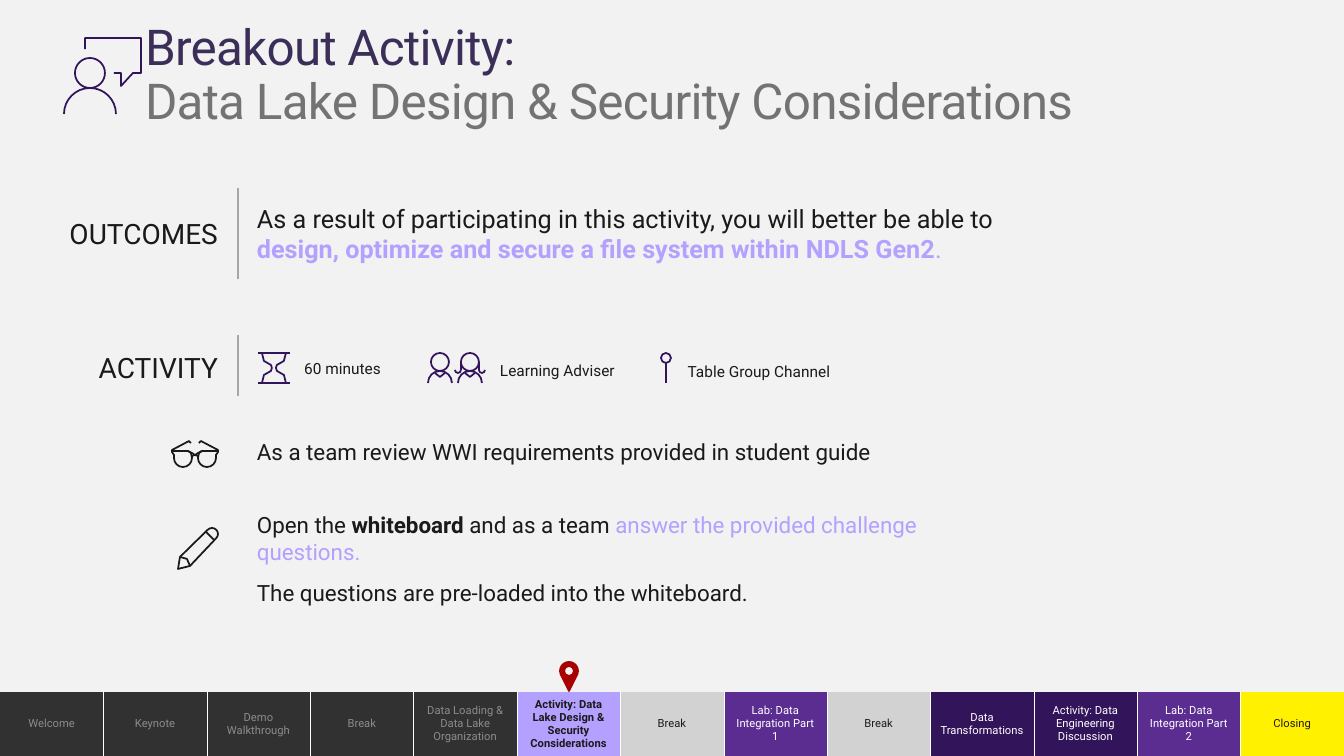
"""Builds the breakout activity slide with its icons and agenda strip."""
from dataclasses import dataclass
from math import cos, radians, sin, tan
from typing import NamedTuple, Optional

from lxml import etree
from pptx import Presentation
from pptx import util as u
from pptx.dml.color import RGBColor
from pptx.enum import shapes, text
from pptx.oxml.ns import qn

FONT = "Roboto"
INK, PLUM, VIOLET, LILAC = "1A1A1A", "32145A", "5C2D91", "B4A0FF"
DARK, GREY, SILVER, WHITE, RED = "313131", "8C8C8C", "D2D2D2", "FFFFFF", "A80000"
LEFT, CENTER, RIGHT = text.PP_ALIGN.LEFT, text.PP_ALIGN.CENTER, text.PP_ALIGN.RIGHT
SLIDE_W, SLIDE_H, AGENDA_TOP = 1344, 756, 692

class Node(NamedTuple):
    x: float
    y: float
    curved: bool = False

class Stroke(NamedTuple):
    nodes: list[Node]
    closed: bool = False

class Span(NamedTuple):
    text: str
    color: Optional[str] = None
    bold: bool = False

class Stage(NamedTuple):
    name: str
    fill: str
    color: str
    bold: bool = False

@dataclass
class Icon:
    strokes: list[Stroke]
    color: str = PLUM
    fill: Optional[str] = None

@dataclass
class Label:
    box: tuple[int, int, int, int]
    size: int
    paragraphs: list[list[Span]]
    align: text.PP_ALIGN = LEFT
    inset: bool = False

def px(v: float) -> int:
    return round(v * u.Inches(1) / 100.8)

def rgb(color: str) -> RGBColor:
    return RGBColor.from_string(color)

def lines(*points: tuple[int, int]) -> list[Node]:
    return [Node(x, y) for x, y in points]

def arc(cx: int, cy: int, r: int, start: int = 0, end: int = 360) -> list[Node]:
    count = -(-(end - start) // 90)
    step = radians(end - start) / count
    k = 4 / 3 * tan(step / 4)
    nodes = [Node(cx + r * cos(radians(start)), cy + r * sin(radians(start)))]
    for i in range(count):
        a = radians(start) + i * step
        b = a + step
        nodes += [Node(cx + r * (cos(t) + d * sin(t)), cy + r * (sin(t) - d * cos(t)), True)
                  for t, d in ((a, -k), (b, k), (b, 0))]
    return nodes

def both_sides(axis: int, *halves: list[Node]) -> list[Stroke]:
    flipped = [[n._replace(x=2 * axis - n.x) for n in half] for half in halves]
    return [Stroke(half) for half in (*halves, *flipped)]

def person(cx: int) -> list[Stroke]:
    return [Stroke(arc(cx, 362, 9), True), Stroke(arc(cx, 383, 12, 180, 360)),
            Stroke(lines((cx - 5, 373), (cx, 377), (cx + 5, 373)))]

ICONS = {
    "speaker": Icon([Stroke(lines((85, 49), (85, 38), (141, 38), (141, 73), (133, 73),
                                  (121, 86), (121, 73), (114, 73))),
                     Stroke(arc(90, 73, 15), True), Stroke(arc(90, 114, 26, 180, 360))]),
    "advisers": Icon(person(440) + person(470) + both_sides(
        470, lines((479, 362), (479, 370)), arc(482, 370, 3, 0, 180))),
    "hourglass": Icon([Stroke(lines((258, y), (290, y))) for y in (353, 383)] + both_sides(
        274, lines((286, 353), (284, 361), (277, 365), (276, 368),
                   (277, 371), (284, 375), (286, 383)))),
    "channel": Icon([Stroke(arc(666, 358, 5), True), Stroke(lines((666, 363), (666, 383)))]),
    "glasses": Icon(both_sides(
        195, lines((199, 443), (201, 441), (218, 450), (218, 452), (216, 455))
        + arc(207, 458, 9, 0, 180) + lines((198, 456), (195, 455)),
        lines((217, 451), (202, 451), (199, 453), (198, 458)),
        lines((195, 455), (198, 453), (202, 451))), INK),
    "pencil": Icon([Stroke(lines((190, 566), (178, 569), (180, 557))
                           + arc(212, 534, 6, 225, 405), True),
                    Stroke(lines((206, 532), (214, 540))),
                    Stroke(lines((190, 566), (187, 559), (180, 557)))], INK),
    "marker": Icon([Stroke(lines((569, 691)) + arc(569, 671, 9, 160, 380), True),
                    Stroke(arc(569, 671, 5), True)], RED, RED),
}
LABELS = [
    Label((68, 216, 150, 34), 20, [[Span("OUTCOMES")]], RIGHT),
    Label((73, 350, 145, 34), 20, [[Span("ACTIVITY")]], RIGHT),
    Label((290, 359, 105, 19), 11, [[Span("60 minutes")]], CENTER),
    Label((500, 361, 123, 19), 11, [[Span("Learning Adviser")]]),
    Label((674, 362, 170, 19), 11, [[Span("Table Group Channel")]], CENTER),
    Label((247, 198, 762, 72), 18, [[
        Span("As a result of participating in this activity, you will better be able to "),
        Span("design, optimize and secure a file system within NDLS Gen2", LILAC, True),
        Span(".", LILAC)]], inset=True),
    Label((247, 433, 762, 37), 16, [[
        Span("As a team review WWI requirements provided in student guide")]], inset=True),
    Label((247, 506, 762, 105), 16, [
        [Span("Open the "), Span("whiteboard", bold=True), Span(" and as a team "),
         Span("answer the provided challenge questions.", LILAC)],
        [Span("The questions are pre-loaded into the whiteboard.")]], inset=True),
]
AGENDA = [
    *(Stage(name, DARK, GREY) for name in (
        "Welcome", "Keynote", "Demo Walkthrough", "Break", "Data Loading & Data Lake Organization")),
    Stage("Activity: Data Lake Design & Security Considerations", LILAC, INK, True),
    Stage("Break", SILVER, INK), Stage("Lab: Data Integration Part 1", VIOLET, WHITE),
    Stage("Break", SILVER, INK), Stage("Data Transformations", PLUM, WHITE),
    Stage("Activity: Data Engineering Discussion", PLUM, WHITE),
    Stage("Lab: Data Integration Part 2", VIOLET, WHITE), Stage("Closing", "FFF100", INK),
]

def set_font(p, size: float, color: str, align: text.PP_ALIGN, bold: bool = False) -> None:
    p.alignment = align
    p.font.name, p.font.size, p.font.bold = FONT, u.Pt(size), bold
    p.font.color.rgb = rgb(color)

def clear_margins(tf) -> None:
    tf.margin_left = tf.margin_top = tf.margin_right = tf.margin_bottom = 0

def add_title(s) -> None:
    sp = s.shapes.title
    sp.left, sp.top, sp.width, sp.height = map(px, (145, 22, 1189, 108))
    tf = sp.text_frame
    clear_margins(tf)
    tf.auto_size, tf.vertical_anchor = text.MSO_AUTO_SIZE.NONE, text.MSO_ANCHOR.BOTTOM
    p = tf.paragraphs[0]
    set_font(p, 35.3, "3B2E58", LEFT)
    p.line_spacing = 0.9
    p.add_run().text = "Breakout Activity:"
    p.add_line_break()
    p.add_run().text = "Data Lake Design & Security Considerations"
    p.runs[1].font.color.rgb = rgb("737373")
    for r in p.runs:
        r._r.get_or_add_rPr().set("spc", "-50")

def add_label(s, label: Label) -> None:
    tf = s.shapes.add_textbox(*map(px, label.box)).text_frame
    tf.word_wrap, tf.auto_size = True, text.MSO_AUTO_SIZE.SHAPE_TO_FIT_TEXT
    if not label.inset:
        clear_margins(tf)
    for i, spans in enumerate(label.paragraphs):
        p = tf.add_paragraph() if i else tf.paragraphs[0]
        set_font(p, label.size, INK, label.align)
        p.space_before = u.Pt(10 if i else 0)
        for span in spans:
            r = p.add_run()
            r.text, r.font.bold = span.text, span.bold or None
            if span.color:
                r.font.color.rgb = rgb(span.color)

def add_icon(s, icon: Icon) -> None:
    builder = s.shapes.build_freeform(*map(px, icon.strokes[0].nodes[0][:2]))
    for i, stroke in enumerate(icon.strokes):
        start, *rest = [(px(n.x), px(n.y)) for n in stroke.nodes]
        if i:
            builder.move_to(*start)
        builder.add_line_segments(rest, close=stroke.closed)
    sp = builder.convert_to_shape()
    segments = list(sp._element.iter(qn("a:lnTo")))
    flags = [n.curved for stroke in icon.strokes for n in stroke.nodes[1:]]
    curved = [seg for seg, flag in zip(segments, flags) if flag]
    for trio in zip(*[iter(curved)] * 3):
        bezier = etree.Element(qn("a:cubicBezTo"))
        trio[0].addprevious(bezier)
        for seg in trio:
            bezier.append(seg[0])
            seg.getparent().remove(seg)
    sp.shadow.inherit = False
    sp.line.color.rgb, sp.line.width = rgb(icon.color), u.Pt(1.25)
    sp.fill.background()
    if icon.fill:
        sp.fill.solid()
        sp.fill.fore_color.rgb = rgb(icon.fill)

def add_divider(s, top: int, bottom: int) -> None:
    line = s.shapes.add_connector(shapes.MSO_CONNECTOR.STRAIGHT, *map(px, (238, top, 238, bottom)))
    line.line.color.rgb, line.line.width = rgb("A6A6A6"), u.Pt(0.75)
    etree.SubElement(line._element.spPr, qn("a:effectLst"))

def add_agenda(s) -> None:
    box = map(px, (0, AGENDA_TOP, SLIDE_W, SLIDE_H - AGENDA_TOP))
    table = s.shapes.add_table(1, len(AGENDA), *box).table
    table.first_row = table.horz_banding = False
    for col, (cell, stage) in enumerate(zip(table.rows[0].cells, AGENDA)):
        cell.text, cell.vertical_anchor = stage.name, text.MSO_ANCHOR.MIDDLE
        set_font(cell.text_frame.paragraphs[0], 8, stage.color, CENTER, stage.bold)
        cell.fill.solid()
        cell.fill.fore_color.rgb = rgb(stage.fill)
        shown = {"L": col > 0, "R": col < len(AGENDA) - 1, "T": False, "B": False}
        for i, (side, visible) in enumerate(shown.items()):
            ln = etree.Element(qn(f"a:ln{side}"), w=str(u.Pt(0.25)))
            fill = etree.SubElement(ln, qn("a:solidFill" if visible else "a:noFill"))
            if visible:
                etree.SubElement(fill, qn("a:srgbClr"), val=WHITE)
            cell._tc.get_or_add_tcPr().insert(i, ln)

def main() -> None:
    prs = Presentation()
    prs.slide_width, prs.slide_height = px(SLIDE_W), px(SLIDE_H)
    s = prs.slides.add_slide(prs.slide_layouts[5])
    s.background.fill.solid()
    s.background.fill.fore_color.rgb = rgb("F2F2F2")
    add_title(s)
    for top, bottom in ((188, 279), (335, 396)):
        add_divider(s, top, bottom)
    for label in LABELS:
        add_label(s, label)
    add_agenda(s)
    for icon in ICONS.values():
        add_icon(s, icon)
    prs.save("out.pptx")

if __name__ == "__main__":
    main()
